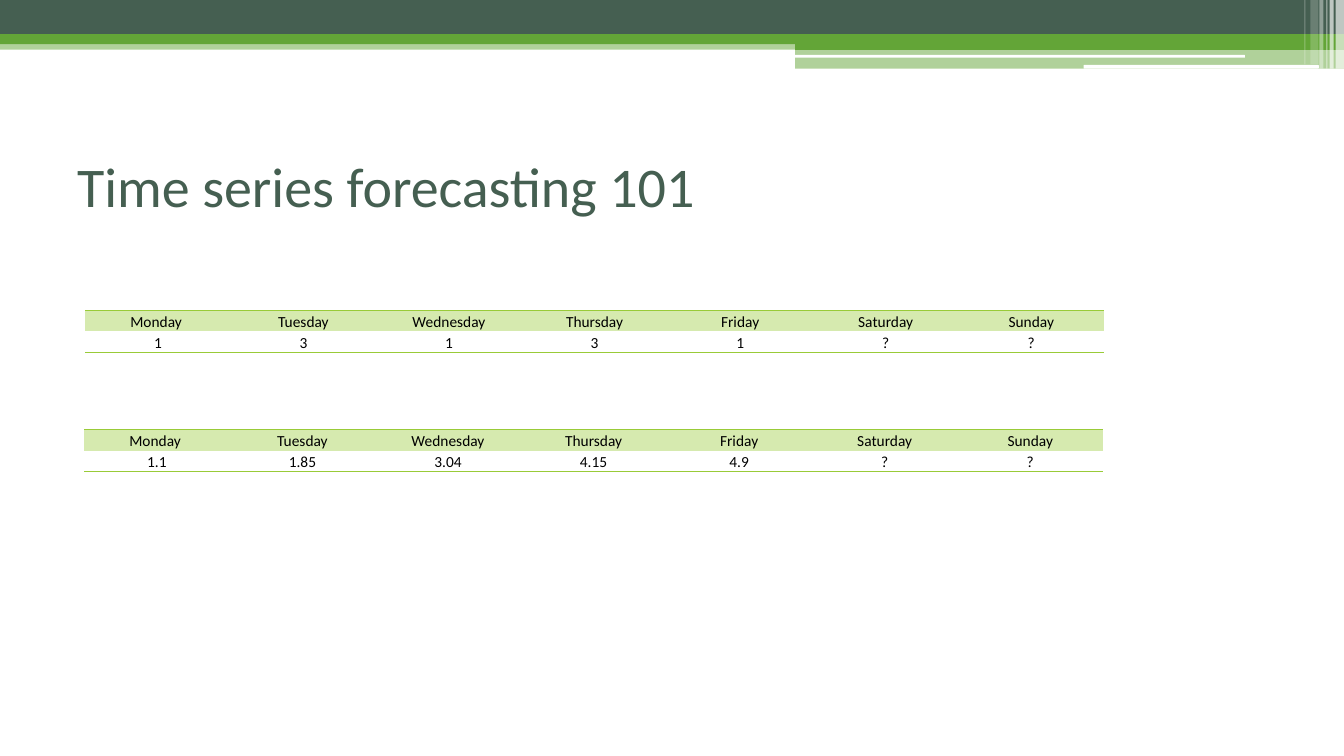
"""Build the time series forecasting slide with its two weekday tables."""
from lxml.etree import SubElement
from pptx import Presentation
from pptx.dml.color import RGBColor
from pptx.enum.shapes import MSO_SHAPE
from pptx.enum.text import MSO_ANCHOR, PP_ALIGN
from pptx.oxml import parse_xml
from pptx.oxml.ns import nsdecls, qn
from pptx.util import Pt

TITLE = "Time series forecasting 101"
DAYS = ["Monday ", "Tuesday", "Wednesday", "Thursday", "Friday", "Saturday", "Sunday"]
SERIES = [
    (60.8, 221.6, ["1", "3", "1", "3", "1", "?", "?"]),
    (60.1, 306.7, ["1.1", "1.85", "3.04", "4.15", "4.9", "?", "?"]),
]
THEME = {
    "font": "Calibri", "title_size": 40, "cell_size": 11,
    "dark": "455F51", "green": "63A537", "white": "FFFFFF",
    "text": "000000", "header": "D6EAAF", "rule": "99CB38",
}
WIDTH, HEIGHT = 960, 540
COL_W, ROW_H = 104, 15.1
SPLIT = 567.9
BANDS = [
    (0, 28.8, WIDTH, 6.6, "green", 50),
    (0, 0, WIDTH, 24.4, "dark", 100),
    (0, 24.4, WIDTH, 7.2, "green", 100),
    (SPLIT, 28.4, WIDTH - SPLIT, 7.2, "green", 100),
    (SPLIT, 34.9, WIDTH - SPLIT, 14.2, "green", 50),
]
GAPS = [(567.6, 39.2, 321.6, 2), (774, 46.4, 168, 2.6)]
STRIPES = [
    (954, 6, 49, 65), (949.7, 2.9, 49, 65), (947.5, 0.7, 49, 60),
    (942.5, 2.9, 49, 40), (936, 5.8, 46, 20), (931.7, 0.7, 46, 30),
]
NO_STYLE = "{2D5ABB26-0587-4C30-8999-92F81FD0307C}"


def apply(target, values):
    for name, value in values.items():
        setattr(target, name, value)


def color(name):
    return RGBColor.from_string(THEME[name])


def add_block(s, preset, box, fill, opacity=100):
    sp = s.shapes.add_shape(preset, *map(Pt, box))
    sp.shadow.inherit = False
    sp.fill.solid()
    sp.fill.fore_color.rgb = color(fill)
    sp.line.fill.background()
    if opacity < 100:
        clr = next(sp.fill._xPr.iter(qn("a:srgbClr")))
        SubElement(clr, qn("a:alpha"), val=str(opacity * 1000))


def write(tf, text, size, ink, align):
    p = tf.paragraphs[0]
    p.alignment = align
    r = p.add_run()
    r.text = text
    apply(r.font, {"name": THEME["font"], "size": Pt(THEME[size])})
    r.font.color.rgb = color(ink)


def add_rule(cell, side):
    cell._tc.get_or_add_tcPr().insert(0, parse_xml(
        f'<a:{side} {nsdecls("a")} w="12700"><a:solidFill>'
        f'<a:srgbClr val="{THEME["rule"]}"/></a:solidFill></a:{side}>'))


def add_series(s, left, top, values):
    rows = [DAYS, values]
    box = (left, top, COL_W * len(DAYS), ROW_H * len(rows))
    table = s.shapes.add_table(len(rows), len(DAYS), *map(Pt, box)).table
    apply(table, {"first_row": False, "horz_banding": False})
    table._tbl.tblPr.find(qn("a:tableStyleId")).text = NO_STYLE
    for col in table.columns:
        col.width = Pt(COL_W)
    for i, texts in enumerate(rows):
        table.rows[i].height = Pt(ROW_H)
        for j, text in enumerate(texts):
            cell = table.cell(i, j)
            apply(cell, {"vertical_anchor": MSO_ANCHOR.BOTTOM, "margin_left": Pt(0.7),
                         "margin_right": Pt(0.7), "margin_top": Pt(0.7), "margin_bottom": 0})
            write(cell.text_frame, text, "cell_size", "text", PP_ALIGN.CENTER)
            if i == 0:
                cell.fill.solid()
                cell.fill.fore_color.rgb = color("header")
            else:
                cell.fill.background()
            add_rule(cell, "lnB" if i else "lnT")


def main():
    prs = Presentation()
    apply(prs, {"slide_width": Pt(WIDTH), "slide_height": Pt(HEIGHT)})
    s = prs.slides.add_slide(prs.slide_layouts[6])
    for *box, fill, opacity in BANDS:
        add_block(s, MSO_SHAPE.RECTANGLE, box, fill, opacity)
    for box in GAPS:
        add_block(s, MSO_SHAPE.ROUNDED_RECTANGLE, box, "white")
    for left, width, height, opacity in STRIPES:
        add_block(s, MSO_SHAPE.RECTANGLE, (left, 0, width, height), "white", opacity)
    tf = s.shapes.add_textbox(Pt(48), Pt(90), Pt(864), Pt(84)).text_frame
    apply(tf, {"word_wrap": True, "vertical_anchor": MSO_ANCHOR.MIDDLE})
    write(tf, TITLE, "title_size", "dark", PP_ALIGN.LEFT)
    for left, top, values in SERIES:
        add_series(s, left, top, values)
    prs.save("out.pptx")


if __name__ == "__main__":
    main()
